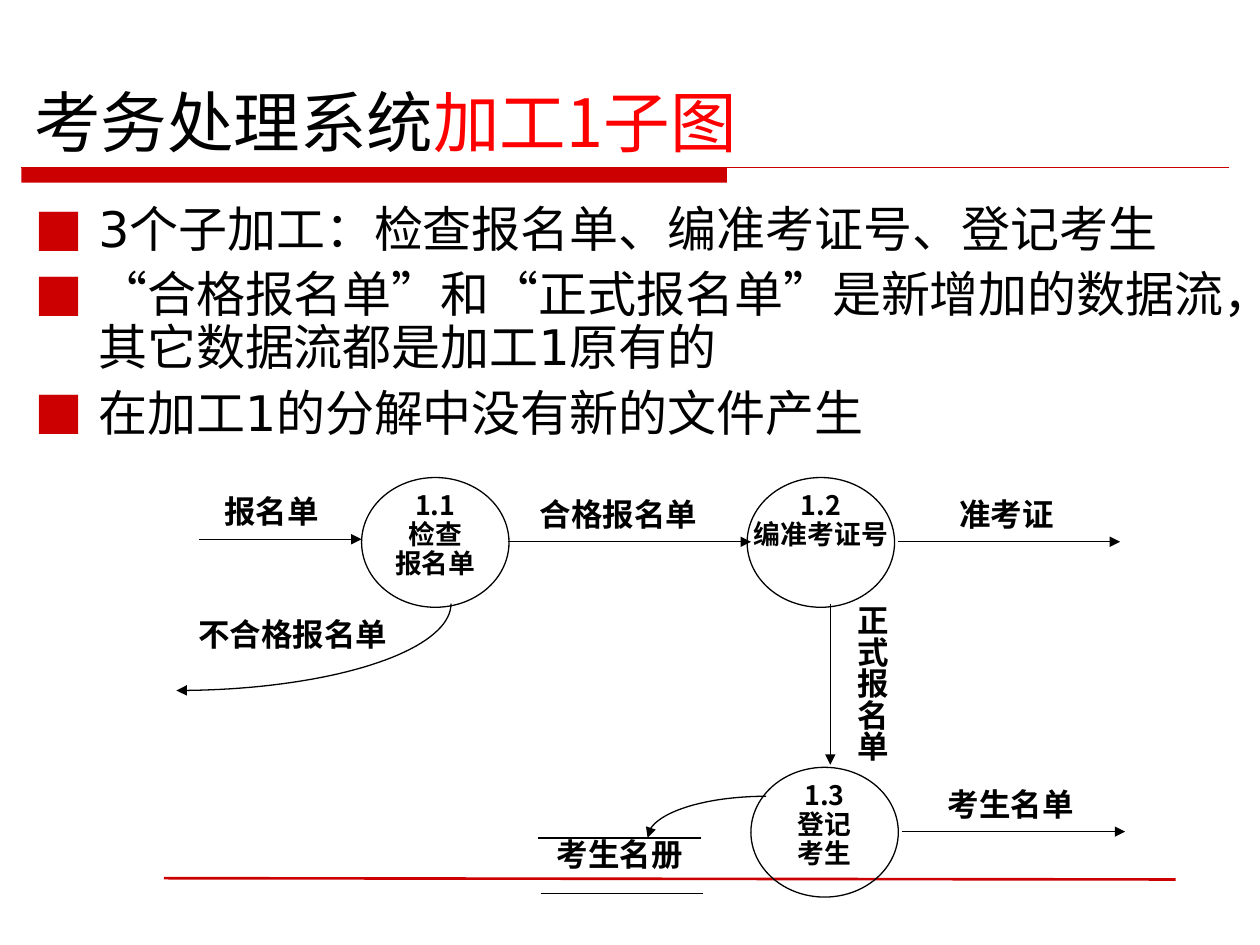
import math

import pptx
import pptx.dml.color
import pptx.enum.shapes
import pptx.enum.text
import pptx.oxml
import pptx.oxml.ns
import pptx.util
from pptx.util import Inches

COLORS = {"text": "000000", "accent": "CC0000", "highlight": "FF0000"}
CJK = "Noto Sans CJK SC"
LATIN = "DejaVu Sans"
ALIGN = pptx.enum.text.PP_ALIGN
ANCHOR = pptx.enum.text.MSO_ANCHOR
SHAPE = pptx.enum.shapes.MSO_SHAPE


def rgb(name):
    return pptx.dml.color.RGBColor.from_string(COLORS[name])


def element(tag, **attrs):
    e = pptx.oxml.parse_xml(f"<{tag} {pptx.oxml.ns.nsdecls('a')}/>")
    for key, value in attrs.items():
        e.set(key, value)
    return e


def add_run(p, text, size=18, font=CJK, color="text", bold=False):
    r = p.add_run()
    r.text = text
    r.font.size = pptx.util.Pt(size)
    r.font.name = font
    r.font.bold = bold
    r.font.color.rgb = rgb(color)
    r.font._element.find(pptx.oxml.ns.qn("a:latin")).addnext(
        element("a:ea", typeface=CJK))


def setup_frame(sp, box, anchor=ANCHOR.TOP):
    sp.left, sp.top, sp.width, sp.height = map(Inches, box)
    tf = sp.text_frame
    tf.word_wrap = True
    tf.auto_size = pptx.enum.text.MSO_AUTO_SIZE.NONE
    tf.vertical_anchor = anchor
    return tf


def add_label(s, box, lines, align=ALIGN.CENTER, spacing=1.0, size=18):
    tf = setup_frame(s.shapes.add_textbox(0, 0, 0, 0), box)
    for i, text in enumerate(lines):
        p = tf.paragraphs[0] if i == 0 else tf.add_paragraph()
        p.alignment = align
        p.line_spacing = spacing
        add_run(p, text, size=size, bold=True)
    return tf


def style_line(sp, color="text", width=0.75, arrow=False):
    sp.line.color.rgb = rgb(color)
    sp.line.width = pptx.util.Pt(width)
    if arrow:
        sp.line._get_or_add_ln().append(element("a:tailEnd", type="triangle"))


def add_line(s, x1, y1, x2, y2, **style):
    line = s.shapes.add_connector(
        pptx.enum.shapes.MSO_CONNECTOR.STRAIGHT, *map(Inches, (x1, y1, x2, y2)))
    style_line(line, **style)
    line._element.spPr.append(element("a:effectLst"))


def add_curve(s, cx, cy, rx, ry, start, end, steps=40):
    """Draw an arrow along an ellipse arc, with angles in degrees."""
    angles = [math.radians(start + (end - start) * i / steps)
              for i in range(steps + 1)]
    points = [(Inches(cx + rx * math.cos(a)), Inches(cy + ry * math.sin(a)))
              for a in angles]
    builder = s.shapes.build_freeform(*points[0])
    builder.add_line_segments(points[1:], close=False)
    sp = builder.convert_to_shape()
    sp.shadow.inherit = False
    sp.fill.background()
    style_line(sp, arrow=True)


def add_rules(s, box):
    x, y, w, h = box
    bar = s.shapes.add_shape(SHAPE.RECTANGLE,
                             *map(Inches, (x, y, 5.6, h)))
    bar.shadow.inherit = False
    bar.fill.solid()
    bar.fill.fore_color.rgb = rgb("accent")
    bar.line.fill.background()
    add_line(s, x, y, x + w, y, color="accent")
    add_line(s, 1.3, 6.97, 9.33, 6.98, color="accent", width=1.5)


def fill_title(s, box):
    p = setup_frame(s.shapes.title, box, ANCHOR.BOTTOM).paragraphs[0]
    p.alignment = ALIGN.LEFT
    add_run(p, "考务处理系统", size=38)
    add_run(p, "加工1子图", size=38, color="highlight")


def fill_points(s, box, points):
    tf = setup_frame(s.placeholders[1], box)
    for i, parts in enumerate(points):
        p = tf.paragraphs[0] if i == 0 else tf.add_paragraph()
        pPr = p._p.get_or_add_pPr()
        pPr.set("marL", str(Inches(0.51)))
        pPr.set("indent", str(Inches(-0.51)))
        color = element("a:buClr")
        color.append(element("a:srgbClr", val=COLORS["accent"]))
        pPr.append(color)
        pPr.append(element("a:buFont", typeface=CJK))
        pPr.append(element("a:buChar", char="■"))
        p.line_spacing = 0.9
        p.space_before = pptx.util.Pt(7 if i else 0)
        for text in parts:
            add_run(p, text, size=28, font="Arial" if text in "“”" else LATIN)


def add_process(s, box, lines):
    x, y, w, h = box
    sp = s.shapes.add_shape(SHAPE.OVAL, *map(Inches, box))
    sp.shadow.inherit = False
    sp.fill.background()
    style_line(sp)
    add_label(s, (x - 0.09, y + 0.07, w + 0.18, 0.95), lines,
              spacing=0.9, size=15.3)


def add_store(s, box, name):
    x, y, w, h = box
    add_line(s, x, y, x + w, y)
    add_line(s, x + 0.02, y + h, x + w + 0.02, y + h)
    add_label(s, (x - 0.01, y - 0.07, w + 0.03, 0.55), [name])


def add_diagram(s, box):
    x, y = box[:2]
    processes = [
        (1.47, 0, ["1.1", "检查", "报名单"]),
        (4.53, 0, ["1.2", "编准考证号"]),
        (4.56, 2.3, ["1.3", "登记", "考生"]),
    ]
    for dx, dy, lines in processes:
        add_process(s, (x + dx, y + dy, 1.17, 1.03), lines)

    # Start x, end x, y, label x, label width, label
    flows = [
        (0.18, 1.47, 0.49, 0.10, 1.31, "报名单"),
        (2.63, 4.56, 0.51, 2.67, 1.68, "合格报名单"),
        (5.73, 7.49, 0.51, 5.75, 1.68, "准考证"),
        (5.76, 7.53, 2.81, 5.78, 1.68, "考生名单"),
    ]
    for x1, x2, dy, label_x, label_w, name in flows:
        add_line(s, x + x1, y + dy, x + x2, y + dy, arrow=True)
        add_label(s, (x + label_x, y + dy - 0.42, label_w, 0.56), [name])

    add_line(s, x + 5.19, y + 1, x + 5.19, y + 2.28, arrow=True)
    tf = add_label(s, (x + 4.89, y + 0.84, 0.83, 1.58), ["正式报名单"],
                   align=ALIGN.LEFT)
    tf._txBody.bodyPr.set("vert", "eaVert")
    tf.margin_left = tf.margin_right = Inches(0.05)
    tf.margin_top, tf.margin_bottom = Inches(0.17), Inches(0.1)

    add_curve(s, x, y + 1, 2.18, 0.69, 0, 90)
    add_label(s, (x - 0.06, y + 1.04, 1.97, 0.57), ["不合格报名单"])
    add_store(s, (x + 2.87, y + 2.86, 1.29, 0.44), "考生名册")
    add_curve(s, x + 4.68, y + 2.86, 0.94, 0.33, 270, 180)


def main():
    prs = pptx.Presentation()
    prs.slide_width, prs.slide_height = Inches(10), Inches(7.5)
    s = prs.slides.add_slide(prs.slide_layouts[1])
    add_rules(s, (0.17, 1.33, 9.58, 0.12))
    fill_title(s, (0.17, 0.6, 9.75, 0.73))
    fill_points(s, (0.17, 1.58, 9.67, 5.33), [
        ["3个子加工：检查报名单、编准考证号、登记考生"],
        ["“", "合格报名单", "”", "和", "“", "正式报名单", "”",
         "是新增加的数据流，其它数据流都是加工1原有的"],
        ["在加工1的分解中没有新的文件产生"],
    ])
    add_diagram(s, (1.4, 3.79, 7.53, 3.33))
    prs.save("out.pptx")


if __name__ == "__main__":
    main()
